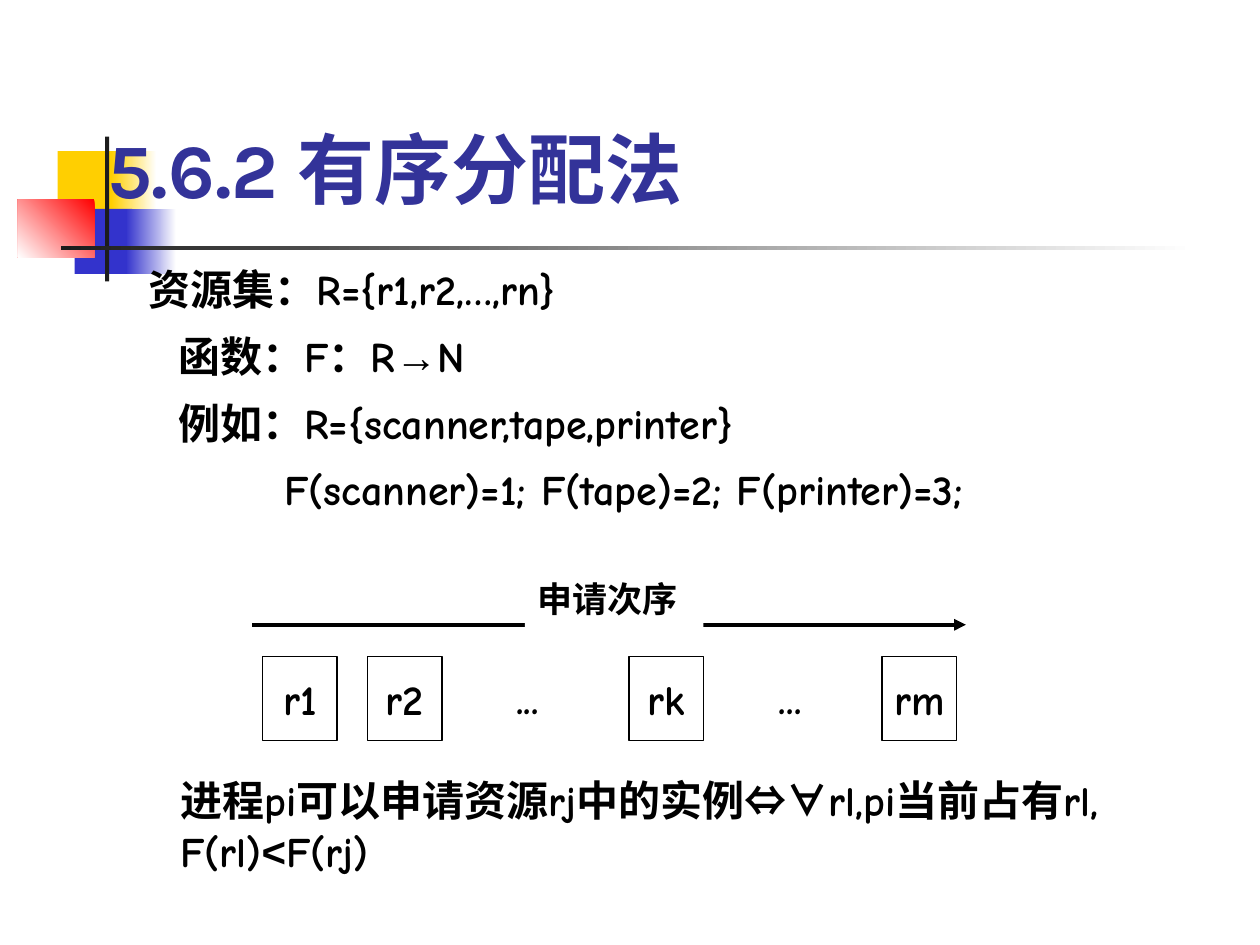
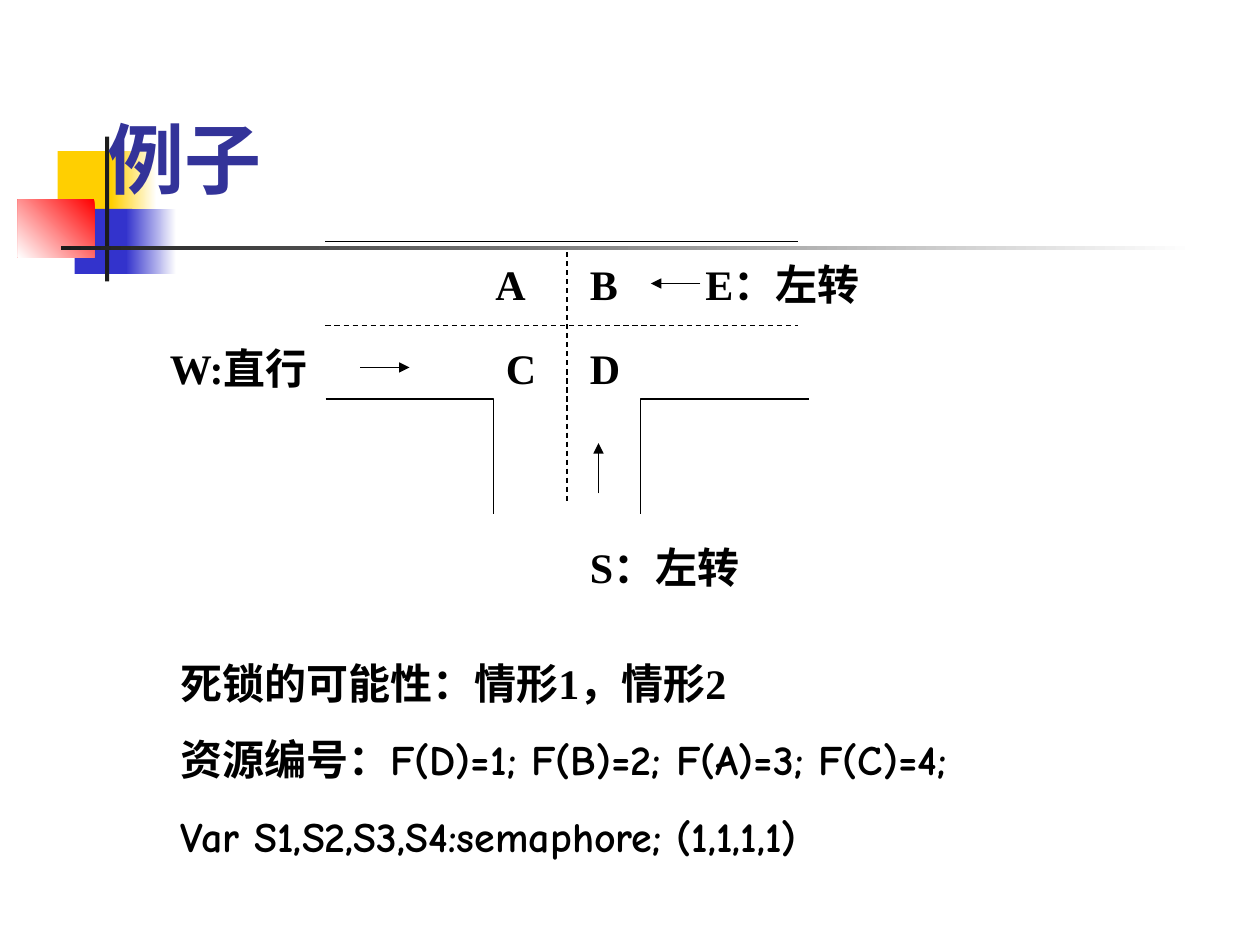
"""Build two slides on ordered resource allocation."""
from lxml import etree
from pptx import Presentation
from pptx import util as u
from pptx.dml.color import RGBColor
from pptx.enum import dml, shapes, text
from pptx.oxml.ns import qn

PX = 7620
RECT = shapes.MSO_SHAPE.RECTANGLE
BLACK, WHITE, DARK = "000000", "FFFFFF", "1C1C1C"
GOLD, BLUE, RED, NAVY = "FFCF01", "3333CC", "FF0000", "333399"
COMIC, TIMES, ARIAL, KARLA = "Comic Neue", "Times New Roman", "Arial", "Karla"
rgb = RGBColor.from_string


def write(shape, paras, size=24, color=BLACK):
    """Fill a shape with bold paragraphs made of (text, font) runs."""
    frame = shape.text_frame
    frame.word_wrap = True
    for i, runs in enumerate(paras):
        p = frame.add_paragraph() if i else frame.paragraphs[0]
        p.font.size, p.font.bold = u.Pt(size), True
        p.font.color.rgb = rgb(color)
        p.space_before = u.Pt(size * 0.625)
        if len(runs) == 1:
            p.font.name = runs[0][1]
        for words, font in runs:
            run = p.add_run()
            run.text = words
            if len(runs) > 1:
                run.font.name = font
    return frame


def draw(slide, ends, width=0.75, dash=False, arrow=False):
    """Draw a black straight line, dashed or with an arrowhead if asked."""
    link = slide.shapes.add_connector(
        shapes.MSO_CONNECTOR.STRAIGHT, *[n * PX for n in ends])
    link.line.color.rgb = rgb(BLACK)
    link.line.width = u.Pt(width)
    if dash:
        link.line.dash_style = dml.MSO_LINE.DASH
    if arrow:
        ln = link.line._get_or_add_ln()
        etree.SubElement(ln, qn("a:tailEnd"), type="triangle")
    etree.SubElement(link.element.spPr, qn("a:effectLst"))


prs = Presentation()
prs.slide_width, prs.slide_height = 1200 * PX, 900 * PX
layout = prs.slide_layouts[5]
for hold in list(layout.placeholders):
    if hold.placeholder_format.idx:
        hold.element.getparent().remove(hold.element)

pages = []
for head, top in [("5.6.2 有序分配法", 60), ("例子", 50)]:
    page = prs.slides.add_slide(layout)
    title = page.shapes.title
    title.left, title.top, title.width, title.height = [
        n * PX for n in (90, top, 1020, 150)]
    frame = write(title, [[(head, KARLA)]], 44, NAVY)
    frame.vertical_anchor = text.MSO_ANCHOR.BOTTOM
    frame.auto_size = text.MSO_AUTO_SIZE.NONE
    frame.paragraphs[0].alignment = text.PP_ALIGN.LEFT
    frame.paragraphs[0].space_before = u.Pt(0)
    pages.append(page)
order, cross = pages

decor = [
    ((55, 144, 58, 62), [GOLD], 0),
    ((106, 144, 43, 62), [WHITE, GOLD], 180),
    ((71, 199, 55, 62), [BLUE], 0),
    ((120, 199, 48, 62), [WHITE, BLUE], 180),
    ((17, 190, 73, 55), [RED, WHITE], 225),
    ((100, 130, 4, 138), [DARK], 0),
    ((58, 234, 1080, 4), [WHITE, DARK], 180),
]
for spot, (area, tones, angle) in enumerate(decor):
    block = order.shapes.add_shape(RECT, *[n * PX for n in area])
    block.shadow.inherit = False
    block.line.fill.background()
    if len(tones) == 1:
        block.fill.solid()
        block.fill.fore_color.rgb = rgb(tones[0])
    else:
        block.fill.gradient()
        block.fill.gradient_angle = angle
        for stop, tone in zip(block.fill.gradient_stops, tones):
            stop.color.rgb = rgb(tone)
    block.element.nvSpPr.cNvPr.set("id", str(20 + spot))
    layout.shapes.element.insert(2 + spot, block.element)

draw(order, (240, 595, 920, 595), 2.25, arrow=True)
for name, left in [("r1", 250), ("r2", 350), ("rk", 599), ("rm", 840)]:
    cell = order.shapes.add_shape(RECT, left * PX, 625 * PX, 71 * PX, 80 * PX)
    cell.shadow.inherit = False
    cell.fill.solid()
    cell.fill.fore_color.rgb = rgb(WHITE)
    cell.line.color.rgb = rgb(BLACK)
    cell.line.width = u.Pt(0.75)
    frame = write(cell, [[(name, COMIC)]])
    frame.word_wrap = False
    frame.vertical_anchor = text.MSO_ANCHOR.MIDDLE
    frame.paragraphs[0].alignment = text.PP_ALIGN.CENTER
    frame.paragraphs[0].space_before = u.Pt(0)

rules = [
    [("资源集：R={r1,r2,…,rn}", COMIC)],
    [("函数：F：R", COMIC), ("→", ARIAL), ("N", COMIC)],
    [("例如：", TIMES), ("R={scanner,tape,printer}", COMIC)],
    [("F(scanner)=1; F(tape)=2; F(printer)=3;", COMIC)],
]
claim = [[("进程pi可以申请资源rj中的实例", COMIC), ("⇔∀", ARIAL),
          ("rl,pi当前占有rl, F(rl)", COMIC), ("<", ARIAL), ("F(rj)", COMIC)]]
notes = [
    [("死锁的可能性：情形1，情形2", TIMES)],
    [("资源编号", TIMES), ("：F(D)=1; F(B)=2; F(A)=3; F(C)=4;", COMIC)],
    [("Var S1,S2,S3,S4:semaphore; (1,1,1,1)", COMIC)],
]
dots = [[("...", COMIC)]]
boxes = [
    (order, (130, 250, 980, 246), rules, 24, False),
    (order, (160, 732, 950, 108), claim, 24, False),
    (order, (480, 635, 70, 60), dots, 24, True),
    (order, (730, 635, 70, 60), dots, 24, True),
    (order, (500, 544, 170, 53), [[("申请次序", TIMES)]], 20, True),
    (cross, (160, 620, 940, 206), notes, 24, False),
]
labels = [
    ("A", 460, 240, 60, 60), ("B", 550, 240, 60, 60),
    ("C", 470, 320, 60, 60), ("D", 550, 320, 60, 60),
    ("W:直行", 150, 320, 160, 108), ("E：左转", 660, 240, 180, 60),
    ("S：左转", 550, 510, 170, 108),
]
for word, *area in labels:
    boxes.append((cross, area, [[(word, TIMES)]], 24, False))

for page, area, paras, size, solid in boxes:
    box = page.shapes.add_textbox(*[n * PX for n in area])
    frame = write(box, paras, size)
    frame.auto_size = text.MSO_AUTO_SIZE.SHAPE_TO_FIT_TEXT
    if solid:
        box.fill.solid()
        box.fill.fore_color.rgb = rgb(WHITE)
    if paras is rules:
        for p, space, inset in zip(frame.paragraphs, (0.9, 0.8, 0.8, 0.8),
                                   (0, 28, 28, 129)):
            p.line_spacing = space
            p._p.get_or_add_pPr().set("marL", str(inset * PX))

draw(cross, (310, 230, 760, 230))
for ends in [(310, 310, 760, 310), (540, 240, 540, 480)]:
    draw(cross, ends, dash=True)
for ends in [(343, 350, 390, 350), (667, 270, 620, 270), (570, 470, 570, 422)]:
    draw(cross, ends, arrow=True)
for far, near in [(310, 470), (770, 610)]:
    path = cross.shapes.build_freeform(far, 380, PX)
    path.add_line_segments([(near, 380), (near, 490)], close=False)
    curb = path.convert_to_shape()
    curb.shadow.inherit = False
    curb.fill.background()
    curb.line.color.rgb = rgb(BLACK)
    curb.line.width = u.Pt(0.75)

prs.save("out.pptx")
